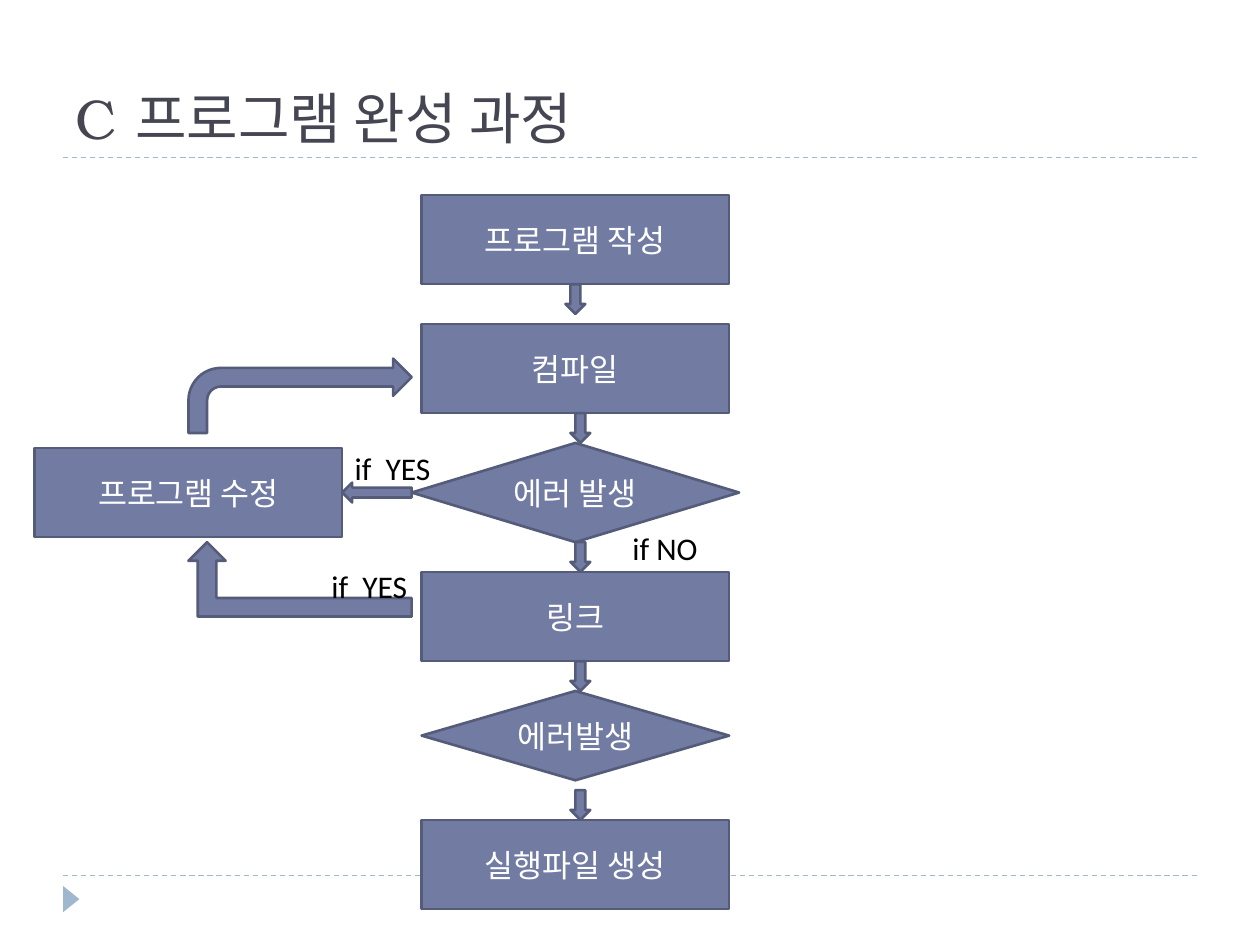
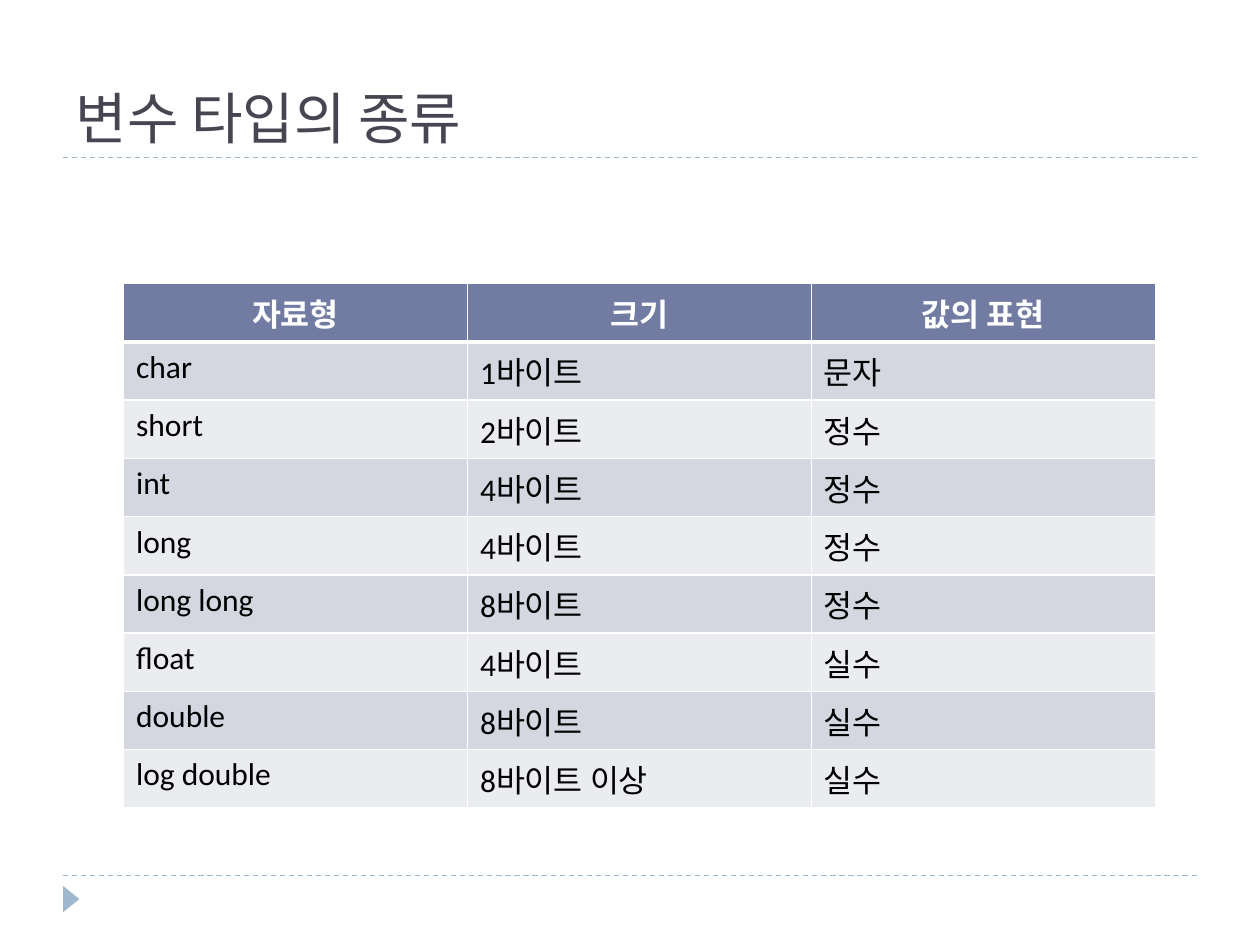
from lxml.etree import SubElement
from pptx import Presentation
from pptx.dml.color import RGBColor
from pptx.enum.dml import MSO_LINE
from pptx.enum.shapes import MSO_CONNECTOR, MSO_SHAPE as Preset
from pptx.enum.text import MSO_ANCHOR as Anchor, MSO_AUTO_SIZE as AutoSize, PP_ALIGN as Align
from pptx.oxml.ns import qn
from pptx.util import Cm, Pt

# Shared look
INK, WHITE, BLACK = "464653", "FFFFFF", "000000"
ACCENT, OUTLINE, RULE = "727CA3", "545C79", "9FB8CD"
BANDS = ("D5D7E0", "EBECF0")
BODY_FONT, TITLE_FONT = "Calibri", "TeX Gyre Bonum"
MARGIN, CONTENT_WIDTH = 1.27, 22.86
TITLE_RULE_Y, FOOTER_RULE_Y = 3.18, 17.65

# Flowchart measures in centimetres
CENTRE_X, STEP_WIDTH, STEP_HEIGHT = 11.6, 6.2, 1.8
ARROW_THICKNESS, ARROW_LENGTH = 0.4, 0.6

# Label, outline, width, height, gap above the next arrow, gap below it
STEPS = [
    ("프로그램 작성", Preset.RECTANGLE, STEP_WIDTH, STEP_HEIGHT, 0, 0.2),
    ("컴파일", Preset.RECTANGLE, STEP_WIDTH, STEP_HEIGHT, 0, 0),
    ("에러 발생", Preset.DIAMOND, 6.6, 2, 0, 0),
    ("링크", Preset.RECTANGLE, STEP_WIDTH, STEP_HEIGHT, 0, 0),
    ("에러발생", Preset.DIAMOND, STEP_WIDTH, STEP_HEIGHT, 0.2, 0),
    ("실행파일 생성", Preset.RECTANGLE, STEP_WIDTH, STEP_HEIGHT, 0, 0),
]
BRANCH_LABELS = [
    ("if NO", 12.5, 10.53),
    ("if  YES", 6.9, 8.92),
    ("if  YES", 6.43, 11.3),
]
TYPE_TABLE = [
    ("자료형", "크기", "값의 표현"),
    ("char", "1바이트", "문자"),
    ("short", "2바이트", "정수"),
    ("int", "4바이트", "정수"),
    ("long", "4바이트", "정수"),
    ("long long", "8바이트", "정수"),
    ("float", "4바이트", "실수"),
    ("double", "8바이트", "실수"),
    ("log double", "8바이트 이상", "실수"),
]


def color(hex_code):
    return RGBColor.from_string(hex_code)


def box(left, top, width, height):
    return Cm(left), Cm(top), Cm(width), Cm(height)


def write(frame, text, ink, size=18, font=BODY_FONT, bold=False, align=Align.LEFT):
    paragraph = frame.paragraphs[0]
    paragraph.alignment = align
    run = paragraph.add_run()
    run.text = text
    run.font.name, run.font.size, run.font.bold = font, Pt(size), bold
    run.font.color.rgb = color(ink)


def add_rule(slide, y):
    rule = slide.shapes.add_connector(
        MSO_CONNECTOR.STRAIGHT, Cm(MARGIN), Cm(y), Cm(MARGIN + CONTENT_WIDTH), Cm(y))
    rule.line.color.rgb = color(RULE)
    rule.line.width = Pt(0.75)
    rule.line.dash_style = MSO_LINE.DASH
    SubElement(rule.element.spPr, qn("a:effectLst"))
    return rule


def add_block(slide, preset, place, fill=ACCENT, outline=OUTLINE, label=None):
    block = slide.shapes.add_shape(preset, *box(*place))
    block.shadow.inherit = False
    block.fill.solid()
    block.fill.fore_color.rgb = color(fill)
    if outline:
        block.line.color.rgb = color(outline)
        block.line.width = Pt(1.5)
    else:
        block.line.fill.background()
    if label:
        block.text_frame.vertical_anchor = Anchor.MIDDLE
        write(block.text_frame, label, WHITE, align=Align.CENTER)
    return block


def add_branch_label(slide, text, left, top):
    frame = slide.shapes.add_textbox(*box(left, top, 2.06, 1.02)).text_frame
    frame.word_wrap = False
    frame.auto_size = AutoSize.SHAPE_TO_FIT_TEXT
    write(frame, text, BLACK)


def decorate_layout(layout, slide):
    """Draw the rules and the page marker, then hand them to the layout."""
    marker = add_block(slide, Preset.ISOSCELES_TRIANGLE, (1.17, 17.96, 0.53, 0.33), RULE, None)
    marker.rotation = 90
    parts = [add_rule(slide, FOOTER_RULE_Y), add_rule(slide, TITLE_RULE_Y), marker]
    for number, part in enumerate(parts, start=20):
        part.element.xpath(".//p:cNvPr")[0].set("id", str(number))
        layout.shapes.element.append(part.element)


def add_titled_slide(deck, layout, text):
    slide = deck.slides.add_slide(layout)
    title = slide.shapes.title
    title.left, title.top, title.width, title.height = box(
        MARGIN, 0.43, CONTENT_WIDTH, 2.74)
    title.text_frame.vertical_anchor = Anchor.BOTTOM
    title.text_frame.word_wrap = True
    title.text_frame.auto_size = AutoSize.NONE
    write(title.text_frame, text, INK, 32, TITLE_FONT)
    return slide


def draw_build_process(slide):
    # Main column, from writing the program to the executable
    top, arrow_places = 3.93, []
    for label, preset, width, height, gap_above, gap_below in STEPS:
        add_block(slide, preset, (CENTRE_X - width / 2, top, width, height), label=label)
        arrow_top = top + height + gap_above
        # The first arrow is centred; the later ones sit slightly to the right
        arrow_left = CENTRE_X - ARROW_THICKNESS / 2 + (0.1 if arrow_places else 0)
        arrow_places.append((arrow_left, arrow_top, ARROW_THICKNESS, ARROW_LENGTH))
        top = arrow_top + ARROW_LENGTH + gap_below
    for place in arrow_places[:-1]:
        add_block(slide, Preset.DOWN_ARROW, place)

    # Correction loop on the left
    add_block(slide, Preset.RECTANGLE, (0.7, 9.03, STEP_WIDTH, STEP_HEIGHT),
              label="프로그램 수정")
    add_block(slide, Preset.LEFT_ARROW, (6.9, 9.73, 1.4, ARROW_THICKNESS))
    from_link = add_block(slide, Preset.BENT_UP_ARROW, (3.8, 10.93, 4.5, 1.5))
    from_link.element.spPr.xfrm.set("flipH", "1")
    add_block(slide, Preset.BENT_ARROW, (3.8, 7.23, 4.5, 1.5))

    for text, left, top in BRANCH_LABELS:
        add_branch_label(slide, text, left, top)


def set_borders(cell, **widths):
    properties = cell._tc.get_or_add_tcPr()
    for side in "LRTB":
        edge = SubElement(properties, qn(f"a:ln{side}"), w=str(Pt(widths.get(side, 1))))
        fill = SubElement(edge, qn("a:solidFill"))
        SubElement(fill, qn("a:srgbClr"), val=WHITE)


def add_type_table(slide):
    place = box(2.49, 5.72, 20.8, 9.14)
    frame = slide.shapes.add_table(len(TYPE_TABLE), len(TYPE_TABLE[0]), *place)
    for row in frame.table.rows:
        row.height = Cm(0.94)
    frame.height = place[3]
    for r, values in enumerate(TYPE_TABLE):
        header = r == 0
        for c, value in enumerate(values):
            cell = frame.table.cell(r, c)
            # A thick edge parts the header from the body
            set_borders(cell, B=3 if header else 1, T=3 if r == 1 else 1)
            cell.fill.solid()
            cell.fill.fore_color.rgb = color(ACCENT if header else BANDS[(r - 1) % 2])
            write(cell.text_frame, value, WHITE if header else BLACK, bold=header,
                  align=Align.CENTER if header else Align.LEFT)


def main():
    deck = Presentation()
    deck.slide_width, deck.slide_height = Cm(25.4), Cm(19.05)
    layout = deck.slide_layouts[5]  # title only

    process = add_titled_slide(deck, layout, "C 프로그램 완성 과정")
    decorate_layout(layout, process)
    draw_build_process(process)

    types = add_titled_slide(deck, layout, "변수 타입의 종류")
    add_type_table(types)

    deck.save("out.pptx")


main()
